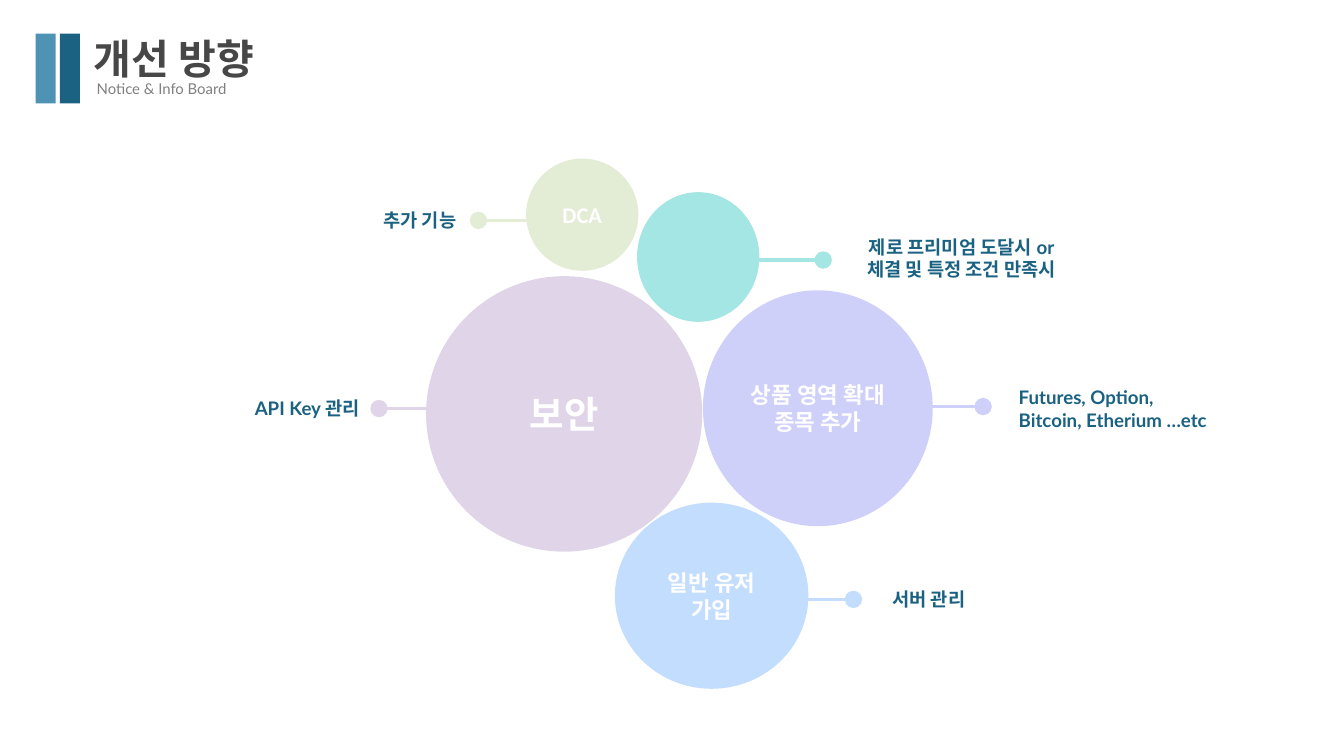
from lxml.etree import SubElement
from pptx import Presentation
from pptx.dml.color import RGBColor
from pptx.enum.shapes import MSO_CONNECTOR as Link, MSO_SHAPE as Shape
from pptx.enum.text import MSO_ANCHOR as Anchor, MSO_AUTO_SIZE as Fit, PP_ALIGN as Align
from pptx.oxml.ns import qn
from pptx.util import Emu, Pt

PX = 9144  # 100 px to the inch
WIDE, HIGH = 2000, 1125
WHITE, NAVY = "FFFFFF", "1B6282"
LILAC, VIOLET, TEAL, GREEN, BLUE = "E0D5E8", "CFD0FA", "A3E6E4", "E3EDD5", "C3DDFF"
LEFT, MID, RIGHT = Align.LEFT, Align.CENTER, Align.RIGHT
REACH = 95  # length of a pointer
NOTE = 406  # width of a note

TITLE = "개선 방향"
SUBTITLE = "Notice & Info Board"
BARS = [(53, "4E92B4"), (89, NAVY)]
# start x, y, direction, colour
POINTERS = [
    (1368, 605, 1, VIOLET),
    (1130, 387, 1, TEAL),
    (1175, 892, 1, BLUE),
    (659, 608, -1, LILAC),
    (807, 328, -1, GREEN),
]
# box, colour, text size, lines
BUBBLES = [
    ((634, 411, 411, 410), LILAC, 40, ["보안"]),
    ((1046, 432, 342, 351), VIOLET, 24, ["상품 영역 확대", "종목 추가"]),
    ((948, 286, 182, 193), TEAL, 24, []),
    ((783, 236, 167, 167), GREEN, 24, ["DCA"]),
    ((915, 748, 288, 277), BLUE, 24, ["일반 유저", "가입"]),
]
# x, y, alignment, lines
NOTES = [
    (283, 306, RIGHT, ["추가 기능"]),
    (139, 586, RIGHT, ["API Key 관리"]),
    (1318, 870, LEFT, ["서버 관리"]),
    (1228, 346, MID, ["제로 프리미엄 도달시 or", "체결 및 특정 조건 만족시"]),
    (1506, 570, LEFT, ["Futures, Option,", "Bitcoin, Etherium …etc"]),
]


def emu(*sizes):
    return [Emu(size * PX) for size in sizes]


def rgb(color):
    return RGBColor.from_string(color)


def write(frame, lines, size, face, color, bold=True, align=LEFT):
    for i, line in enumerate(lines):
        para = frame.add_paragraph() if i else frame.paragraphs[0]
        para.text = line
        para.alignment = align
        font = para.font
        font.name, font.size, font.bold = face, Pt(size), bold
        font.color.rgb = rgb(color)


def add_solid(slide, kind, box, color):
    solid = slide.shapes.add_shape(kind, *emu(*box))
    solid.shadow.inherit = False
    solid.fill.solid()
    solid.fill.fore_color.rgb = rgb(color)
    solid.line.fill.background()
    return solid


def add_text(slide, box, *style):
    frame = slide.shapes.add_textbox(*emu(*box)).text_frame
    frame.word_wrap = True
    frame.auto_size = Fit.SHAPE_TO_FIT_TEXT
    write(frame, *style)
    return frame


def add_pointer(slide, x, y, way, color):
    """Draw a level line that ends in a round dot."""
    ends = emu(x, y, x + way * REACH, y)
    link = slide.shapes.add_connector(Link.STRAIGHT, *ends)
    link.line.color.rgb = rgb(color)
    link.line.width = Pt(3.75)
    props = link.line._get_or_add_ln()
    SubElement(props, qn("a:tailEnd"), type="oval", w="lg", len="lg")
    SubElement(props.getparent(), qn("a:effectLst"))


def main():
    deck = Presentation()
    deck.slide_width, deck.slide_height = emu(WIDE, HIGH)
    slide = deck.slides.add_slide(deck.slide_layouts[6])

    for x, color in BARS:
        add_solid(slide, Shape.RECTANGLE, (x, 50, 30, 104), color)
    add_text(slide, (134, 114, 500, 37), [SUBTITLE], 16, "Lato", "808080", False)
    head = add_text(slide, (139, 37, 386, 82), [TITLE], 44, "Noto Sans CJK SC", "474747")
    head.margin_left = head.margin_right = head.margin_top = head.margin_bottom = 0
    head.paragraphs[0].line_spacing = Pt(61.7)

    for pointer in POINTERS:
        add_pointer(slide, *pointer)
    for box, color, size, lines in BUBBLES:
        frame = add_solid(slide, Shape.OVAL, box, color).text_frame
        frame.vertical_anchor = Anchor.MIDDLE
        write(frame, lines, size, "Calibri", WHITE, align=MID)
    for x, y, align, lines in NOTES:
        box = (x, y, NOTE, 11 + 33 * len(lines))
        add_text(slide, box, lines, 20, "Lato", NAVY, True, align)

    deck.save("out.pptx")


if __name__ == "__main__":
    main()
